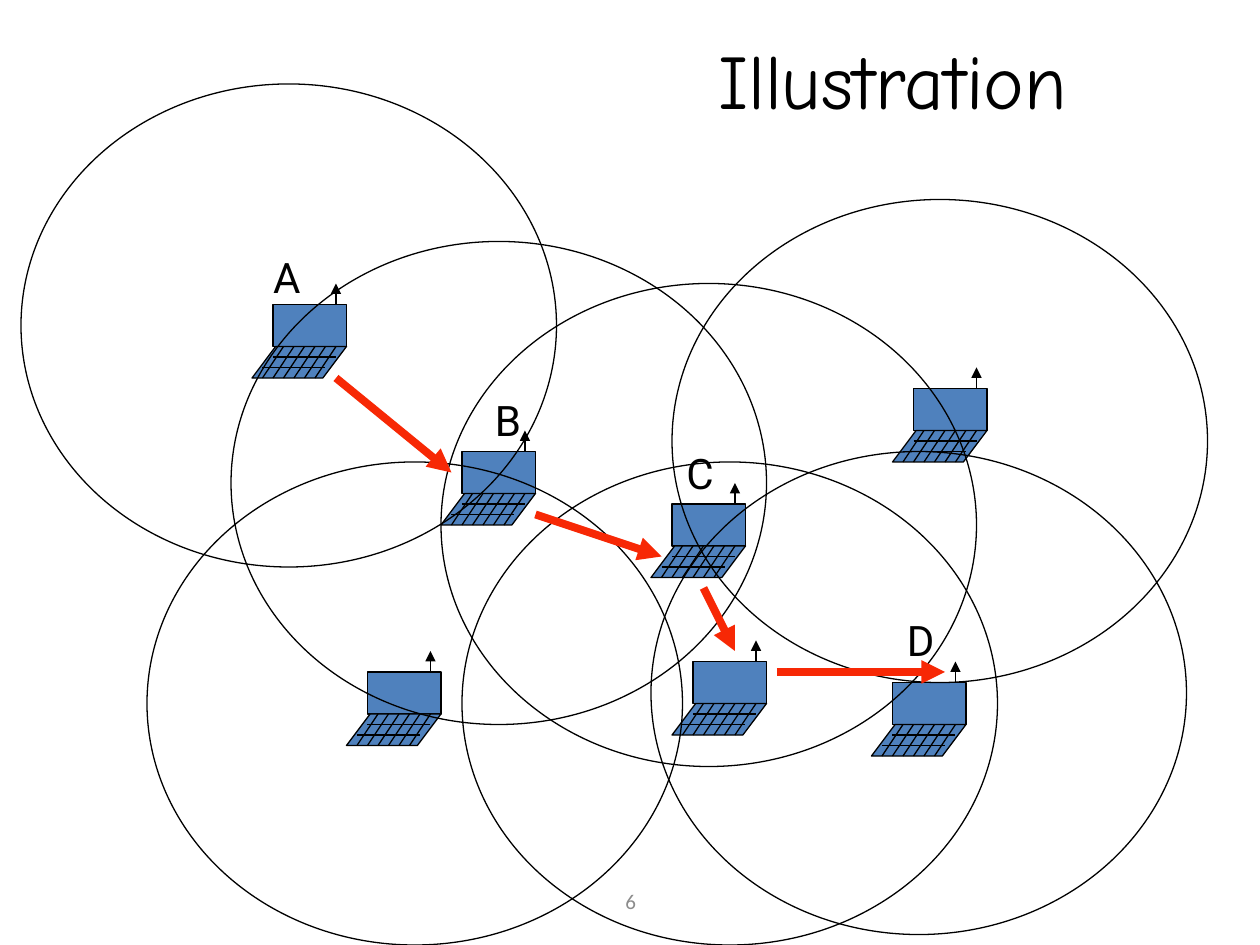
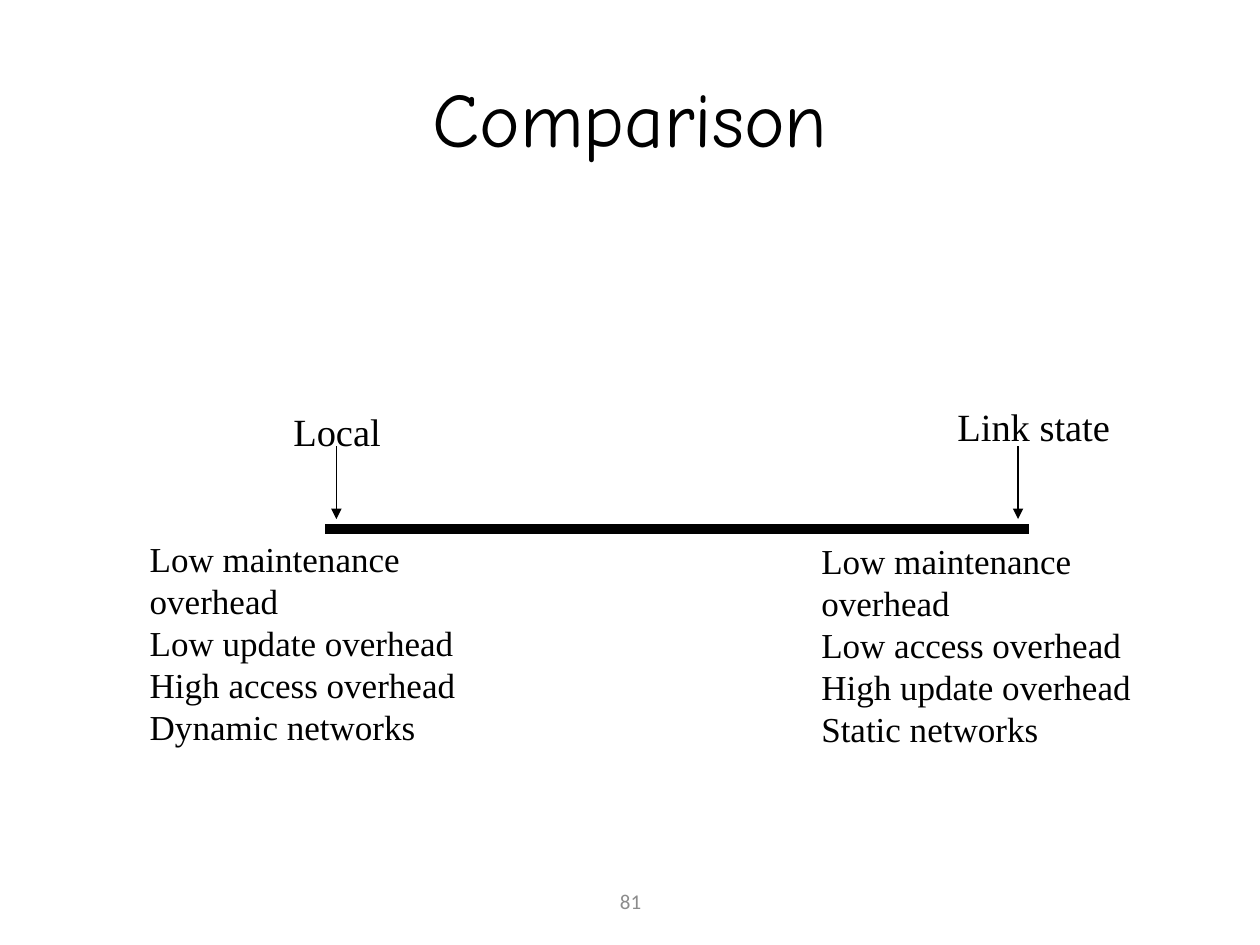
from pptx import Presentation
from pptx.dml.color import RGBColor as RGB
from pptx.enum.shapes import MSO_CONNECTOR as Conn, MSO_SHAPE as Geo
from pptx.enum.text import MSO_ANCHOR as Anchor, PP_ALIGN as Align
from pptx.oxml.ns import qn
from pptx.util import Inches, Pt
from lxml.etree import SubElement

HUE = {"ink": "000000", "laptop": "4F81BD", "route": "F72805", "page": "8C8C8C"}
TITLE, LABEL, SERIF, PAGE = "Comic Neue", "Roboto", "Times New Roman", "Calibri"

# The network drawing sits on a grid of twelve cells to the inch.
CELL = 1 / 12
LAPTOPS = [(44, 43), (64, 48), (66, 63), (85, 65), (87, 37), (35, 64), (26, 29)]
RANGES = [(22, 23), (42, 27), (64, 19), (62, 43), (44, 44), (14, 44), (2, 8)]
RANGE_SIZE = (51, 46)
HOPS = [(32, 36, 43, 45), (51, 49, 63, 53), (67, 56, 70, 62), (74, 64, 90, 64)]
NODES = [("A", 2.07, 1.95), ("B", 3.83, 3.08), ("C", 5.35, 3.5), ("D", 7.1, 4.83)]

# Label, its place, arrow x, list place, list of traits
ENDS = [
    ("Local", (2.23, 3.19, 0.9, 0.47), 2.67, (1.09, 4.22),
     ["Low maintenance overhead", "Low update overhead",
      "High access overhead", "Dynamic networks"]),
    ("Link state", (7.5, 3.15, 1.41, 0.47), 8.08, (6.42, 4.23),
     ["Low maintenance overhead", "Low access overhead",
      "High update overhead", "Static networks"]),
]


def grid(*cells):
    return [n * CELL for n in cells]


def text(shapes, lines, box, font, size, hue="ink", mid=False, wrap=False):
    """Text box; mid centres the text both ways, otherwise it starts top left."""
    item = shapes.add_textbox(*map(Inches, box))
    frame = item.text_frame
    frame.word_wrap = wrap or mid
    frame.vertical_anchor = Anchor.MIDDLE if mid else Anchor.TOP
    frame.text = "\n".join(lines)
    for para in frame.paragraphs:
        para.alignment = Align.CENTER if mid else Align.LEFT
        if not mid:
            para.line_spacing = Pt(size * 1.2)
        para.font.name = font
        para.font.size = Pt(size)
        para.font.color.rgb = RGB.from_string(HUE[hue])
    return frame


def line(shapes, ends, width=0.75, hue="ink", arrow=False):
    item = shapes.add_connector(Conn.STRAIGHT, *map(Inches, ends))
    item.line.width = Pt(width)
    item.line.color.rgb = RGB.from_string(HUE[hue])
    props = item._element.spPr
    if arrow:
        SubElement(props.find(qn("a:ln")), qn("a:tailEnd"), type="triangle")
    SubElement(props, qn("a:effectLst"))


def shape(shapes, kind, box, fill=None):
    item = shapes.add_shape(kind, *map(Inches, box))
    item.shadow.inherit = False
    item.line.width = Pt(0.75)
    item.line.color.rgb = RGB.from_string(HUE["ink"])
    if fill:
        item.fill.solid()
        item.fill.fore_color.rgb = RGB.from_string(HUE[fill])
    else:
        item.fill.background()
    return item


def laptop(slide, x, y):
    """Laptop with antenna; x, y is the screen's top left in grid cells."""
    parts = slide.shapes.add_group_shape().shapes
    shape(parts, Geo.RECTANGLE, grid(x, y, 7, 4), "laptop")
    keys = shape(parts, Geo.PARALLELOGRAM, grid(x - 2, y + 4, 9, 3), "laptop")
    keys.adjustments[0] = 0.75
    for row in range(2):
        line(parts, grid(x - row, y + 5 + row, x + 6 - row, y + 5 + row))
    for col in range(1, 7):
        line(parts, grid(x + col, y + 4, x + col - 2, y + 7))
    line(parts, grid(x + 6, y, x + 6, y - 2), arrow=True)


def start(deck, title, box, page):
    slide = deck.slides.add_slide(deck.slide_layouts[6])
    text(slide.shapes, [page], (3.42, 6.95, 3.17, 0.4), PAGE, 12, "page", mid=True)
    text(slide.shapes, [title], box, TITLE, 44, mid=True)
    return slide


def network(deck):
    slide = start(deck, "Illustration", (3.51, 0, 7.15, 1.25), "6")
    for x, y in LAPTOPS:
        laptop(slide, x, y)
    rings = slide.shapes.add_group_shape().shapes
    for place in RANGES:
        shape(rings, Geo.OVAL, grid(*place, *RANGE_SIZE))
    for name, x, y in NODES:
        text(slide.shapes, [name], (x, y, 0.4, 0.5), LABEL, 24)
    route = slide.shapes.add_group_shape().shapes
    for hop in HOPS:
        line(route, grid(*hop), 4.5, "route", arrow=True)


def compare(deck):
    slide = start(deck, "Comparison", (0.5, 0.3, 9, 1.25), "81")
    line(slide.shapes, (2.58, 4.2, 8.17, 4.2), 6)
    for name, box, x, place, traits in ENDS:
        parts = slide.shapes.add_group_shape().shapes
        frame = text(parts, traits, (*place, 3.27, 1.43), SERIF, 20, wrap=True)
        frame.margin_right = Inches(0.2)
        line(parts, (x, 3.54, x, 4.12), arrow=True)
        text(parts, [name], box, SERIF, 22)


def main():
    deck = Presentation()
    deck.slide_width, deck.slide_height = Inches(10), Inches(7.5)
    network(deck)
    compare(deck)
    deck.save("out.pptx")


if __name__ == "__main__":
    main()
